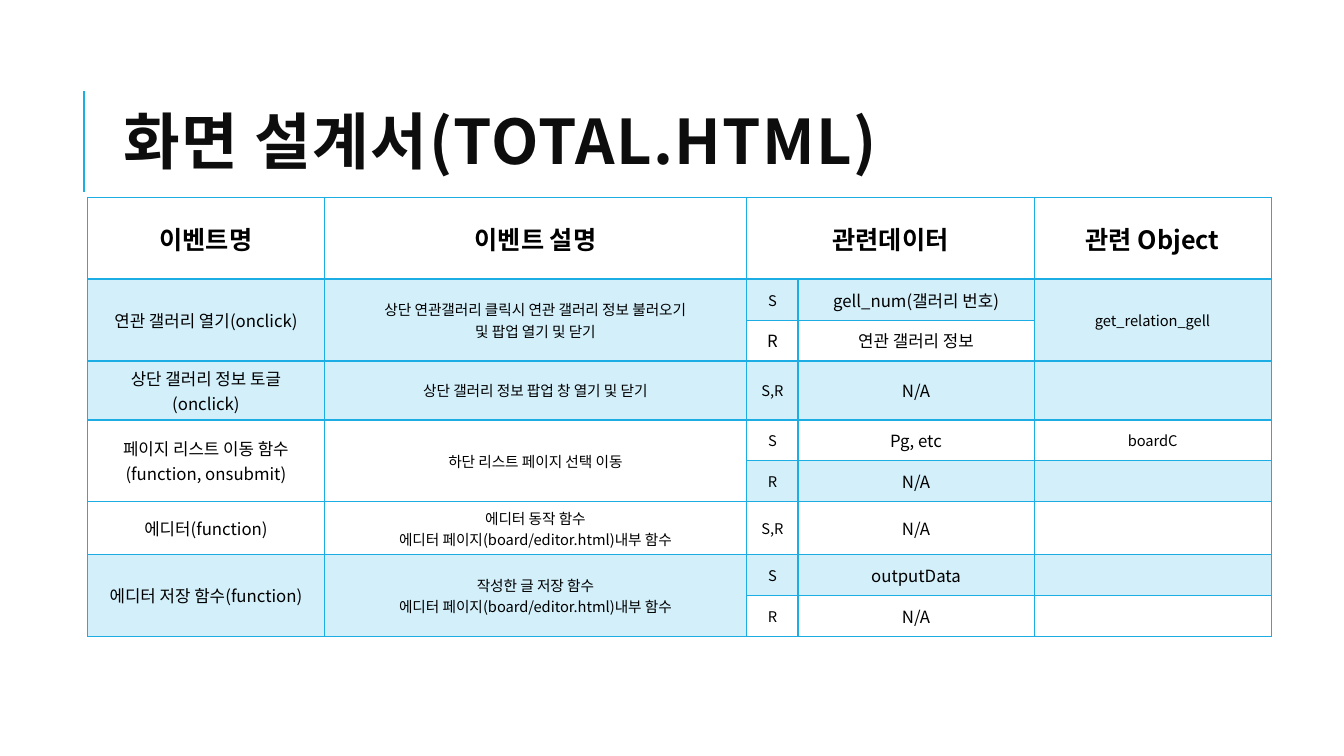
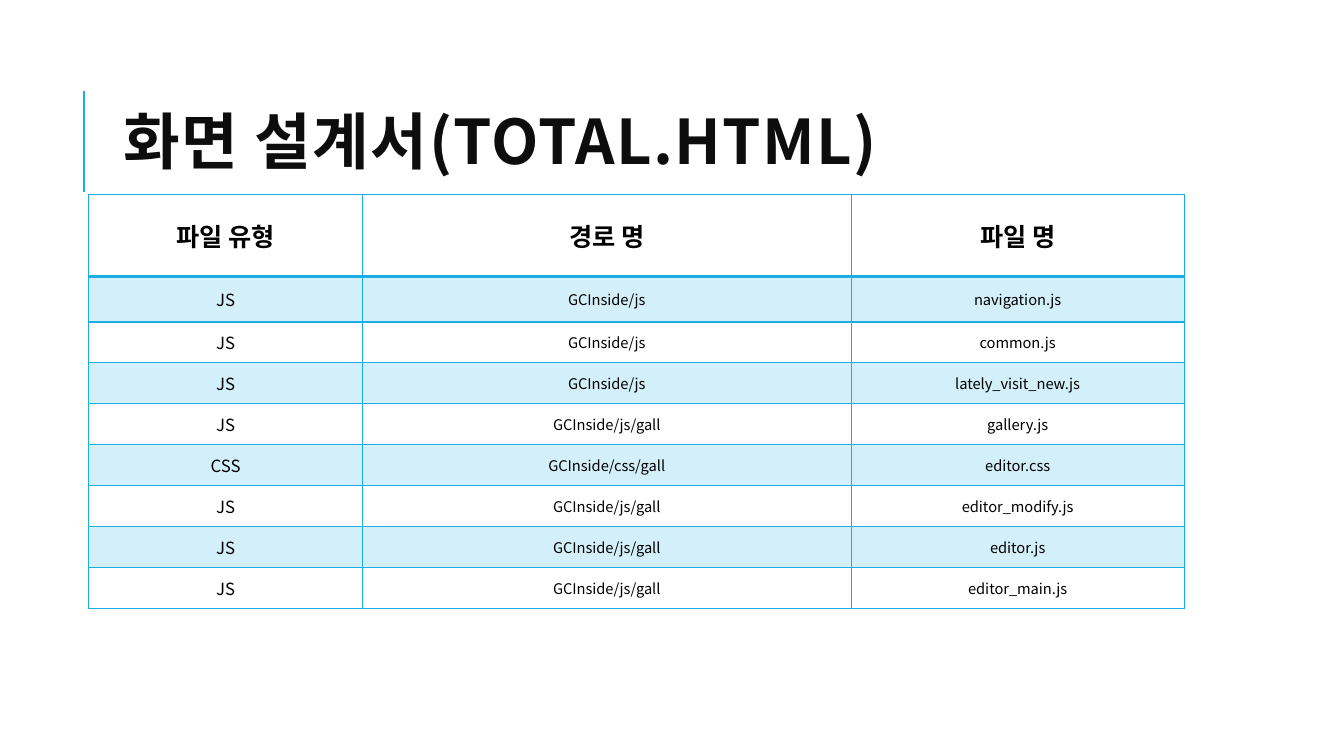
from dataclasses import dataclass
from typing import Any

from lxml.etree import SubElement
from pptx import Presentation
from pptx.dml.color import RGBColor
from pptx.enum.shapes import MSO_CONNECTOR
from pptx.enum.text import MSO_ANCHOR, MSO_AUTO_SIZE, PP_ALIGN
from pptx.oxml.ns import qn
from pptx.util import Pt

# Shared style
FONT = "Noto Sans CJK KR"
BLUE, PALE, BLACK, DARK = "1CADE4", "D2EFFA", "000000", "0D0D0D"
TITLE = "화면 설계서(TOTAL.HTML)"
HEAD, ROW = 58.5, 29.25  # row heights


@dataclass(frozen=True)
class Grid:
    left: float
    top: float
    cols: list[float]
    rows: list[float]
    sizes: list[float]  # body text size of each column
    cells: list[list[str]]
    spans: tuple[tuple[int, int, int, int], ...] = ()  # row, column to row, column
    large: tuple[tuple[int, int], ...] = ()  # cells set at 12 points


EVENTS = Grid(
    62.75, 141, [168.75, 302, 36.5, 168.75, 169.25],
    [HEAD, ROW, ROW, 41.75, ROW, ROW, 37.75, ROW, ROW],
    [12, 10.5, 10.5, 12, 10.5],
    [
        ["이벤트명", "이벤트 설명", "관련데이터", "", "관련 Object"],
        ["연관 갤러리 열기(onclick)",
         "상단 연관갤러리 클릭시 연관 갤러리 정보 불러오기\n및 팝업 열기 및 닫기",
         "S", "gell_num(갤러리 번호)", "get_relation_gell"],
        ["", "", "R", "연관 갤러리 정보", ""],
        ["상단 갤러리 정보 토글(onclick)", "상단 갤러리 정보 팝업 창 열기 및 닫기",
         "S,R", "N/A", ""],
        ["페이지 리스트 이동 함수(function, onsubmit)", "하단 리스트 페이지 선택 이동",
         "S", "Pg, etc", "boardC"],
        ["", "", "R", "N/A", ""],
        ["에디터(function)",
         "에디터 동작 함수\n에디터 페이지(board/editor.html)내부 함수",
         "S,R", "N/A", ""],
        ["에디터 저장 함수(function)",
         "작성한 글 저장 함수\n에디터 페이지(board/editor.html)내부 함수",
         "S", "outputData", ""],
        ["", "", "R", "N/A", ""],
    ],
    spans=((0, 2, 0, 3), (1, 0, 2, 0), (1, 1, 2, 1), (1, 4, 2, 4),
           (4, 0, 5, 0), (4, 1, 5, 1), (7, 0, 8, 0), (7, 1, 8, 1)),
    large=((2, 2),),
)

FILES = Grid(
    63.25, 139, [195.75, 349, 238], [HEAD, 32.5] + [ROW] * 7, [12, 10.5, 10.5],
    [
        ["파일 유형", "경로 명", "파일 명"],
        ["JS", "GCInside/js", "navigation.js"],
        ["JS", "GCInside/js", "common.js"],
        ["JS", "GCInside/js", "lately_visit_new.js"],
        ["JS", "GCInside/js/gall", "gallery.js"],
        ["CSS", "GCInside/css/gall", "editor.css"],
        ["JS", "GCInside/js/gall", "editor_modify.js"],
        ["JS", "GCInside/js/gall", "editor.js"],
        ["JS", "GCInside/js/gall", "editor_main.js"],
    ],
)


def color(code: str) -> RGBColor:
    return RGBColor.from_string(code)


def write(frame: Any, text: str, *, size: float, bold: bool = False,
          ink: str = BLACK, align: Any = PP_ALIGN.CENTER,
          lead: float = 1.0, space: float = 0) -> None:
    """Fill a text frame, one paragraph for each line of text."""
    for i, line in enumerate(text.split("\n")):
        para = frame.paragraphs[0] if i == 0 else frame.add_paragraph()
        para.alignment, para.line_spacing = align, lead
        if not line:
            # Keep an empty cell as low as its row
            SubElement(para._p, qn("a:endParaRPr"), sz=str(int(size * 100)))
            continue
        run = para.add_run()
        run.text = line
        font = run.font
        font.size, font.bold, font.name = Pt(size), bold, FONT
        font.color.rgb = color(ink)
        props = run._r.get_or_add_rPr()
        SubElement(props, qn("a:ea"), typeface=FONT)
        if space:
            props.set("spc", str(int(space * 100)))


def edge(cell: Any, **widths: float) -> None:
    """Draw the cell borders L, R, T and B, in that order."""
    props = cell._tc.get_or_add_tcPr()
    for side, width in widths.items():
        line = SubElement(props, qn(f"a:ln{side}"), w=str(int(Pt(width))))
        fill = SubElement(line, qn("a:solidFill"))
        SubElement(fill, qn("a:srgbClr"), val=BLUE)


def draw(slide: Any, grid: Grid) -> None:
    """Add a table with a bold head and shaded odd rows."""
    table = slide.shapes.add_table(
        len(grid.rows), len(grid.cols), Pt(grid.left), Pt(grid.top),
        Pt(sum(grid.cols)), Pt(sum(grid.rows))).table
    table.first_row = table.horz_banding = False
    for col, width in zip(table.columns, grid.cols):
        col.width = Pt(width)
    for row, height in zip(table.rows, grid.rows):
        row.height = Pt(height)
    for r, texts in enumerate(grid.cells):
        for c, text in enumerate(texts):
            cell = table.cell(r, c)
            cell.vertical_anchor = MSO_ANCHOR.MIDDLE
            edge(cell, L=1, R=1, T=2 if r == 1 else 1, B=2 if r == 0 else 1)
            if r % 2:
                cell.fill.solid()
                cell.fill.fore_color.rgb = color(PALE)
            else:
                cell.fill.background()
            size = 12 if (r, c) in grid.large else grid.sizes[c]
            write(cell.text_frame, text, size=size if r else 18, bold=r == 0)
    for top, left, low, right in grid.spans:
        table.cell(top, left).merge(table.cell(low, right))


def start(deck: Any) -> Any:
    """Add a slide with its title and the accent line."""
    slide = deck.slides.add_slide(deck.slide_layouts[5])
    rule = slide.shapes.add_connector(
        MSO_CONNECTOR.STRAIGHT, Pt(60), Pt(137), Pt(60), Pt(65))
    rule.line.color.rgb = color(BLUE)
    rule.line.width = Pt(1.5)
    SubElement(rule._element.spPr, qn("a:effectLst"))
    title = slide.shapes.title
    title.left, title.top = Pt(80.75), Pt(46)
    title.width, title.height = Pt(765.5), Pt(118)
    frame = title.text_frame
    frame.word_wrap, frame.auto_size = True, MSO_AUTO_SIZE.NONE
    frame.vertical_anchor = MSO_ANCHOR.MIDDLE
    write(frame, TITLE, size=44, bold=True, ink=DARK,
          align=PP_ALIGN.LEFT, lead=0.8, space=1)
    return slide


def main() -> None:
    deck = Presentation()
    deck.slide_width, deck.slide_height = Pt(960), Pt(540)
    for grid in (EVENTS, FILES):
        draw(start(deck), grid)
    deck.save("out.pptx")


if __name__ == "__main__":
    main()
